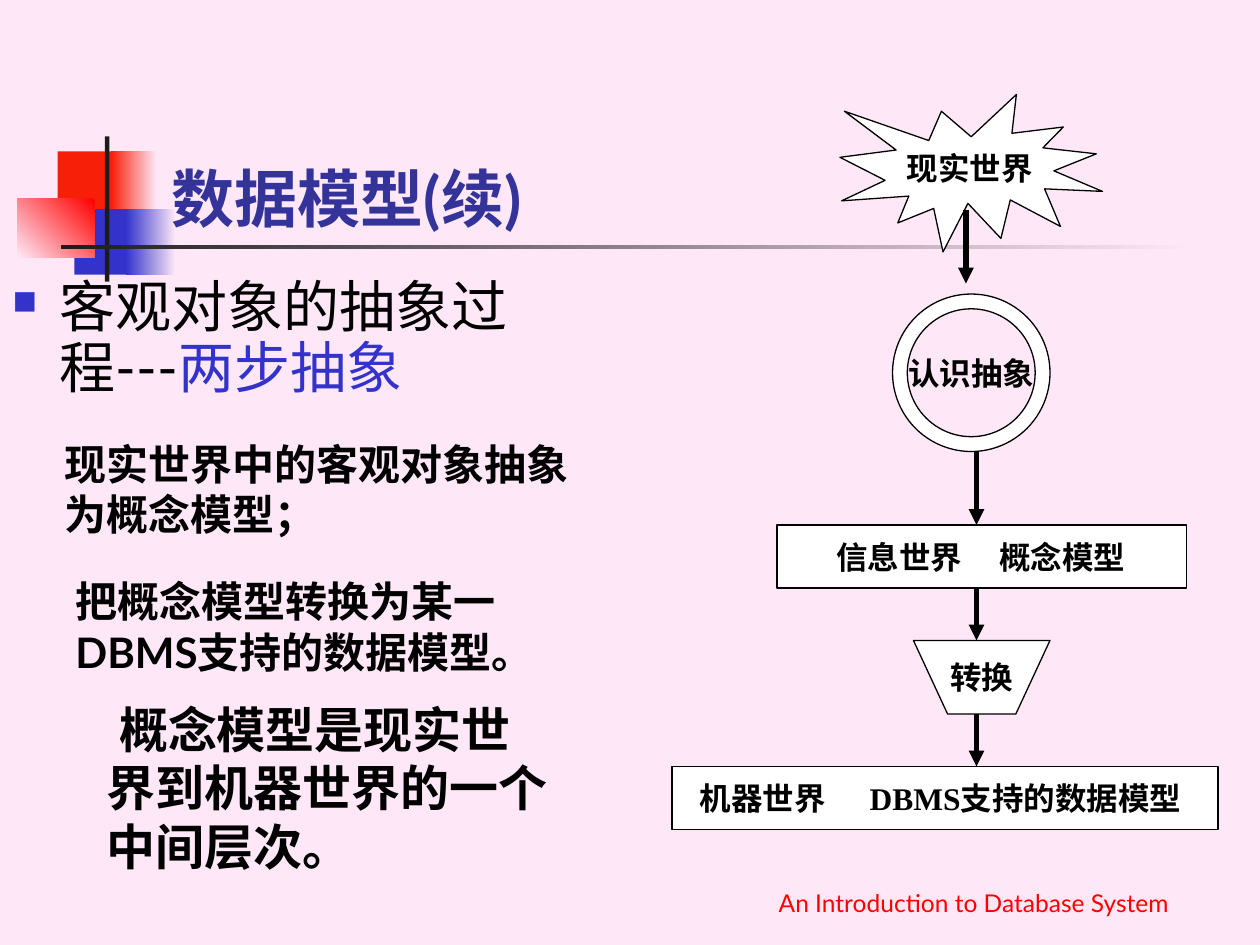
from dataclasses import dataclass

from lxml.etree import SubElement
from pptx import Presentation
from pptx.dml.color import RGBColor
from pptx.enum.shapes import MSO_CONNECTOR as CONNECTOR, MSO_SHAPE as SHAPE
from pptx.enum.text import MSO_ANCHOR as ANCHOR, MSO_AUTO_SIZE as AUTO_SIZE, PP_ALIGN as ALIGN
from pptx.oxml.ns import qn
from pptx.util import Pt


@dataclass(frozen=True)
class Theme:
    background: str = "FEE8F7"
    orange: str = "F81F08"
    red: str = "FF0000"
    blue: str = "3333CC"
    title: str = "333399"
    dark: str = "1C1C1C"
    black: str = "000000"
    white: str = "FFFFFF"
    text_font: str = "Lato"
    diagram_font: str = "Times New Roman"
    title_size: int = 36
    lead_size: int = 32
    conclusion_size: int = 28
    step_size: int = 24
    diagram_size: int = 18
    footer_size: int = 14


theme = Theme()
rgb = RGBColor.from_string


def format_runs(paragraph, size, color=theme.black, bold=False, font=theme.text_font):
    for run in paragraph.runs:
        run.font.name = font
        run.font.size = Pt(size)
        run.font.bold = bold
        run.font.color.rgb = rgb(color)


def add_text(left, top, width, height, text, size, space_before=0, **style):
    """Add a wrapping text box and return its only paragraph."""
    box = slide.shapes.add_textbox(Pt(left), Pt(top), Pt(width), Pt(height))
    box.text_frame.word_wrap = True
    box.text_frame.text = text
    paragraph = box.text_frame.paragraphs[0]
    paragraph.space_before = Pt(space_before)
    format_runs(paragraph, size, **style)
    return paragraph


presentation = Presentation()
presentation.slide_width, presentation.slide_height = Pt(720), Pt(540)
slide = presentation.slides.add_slide(presentation.slide_layouts[5])
slide.background.fill.solid()
slide.background.fill.fore_color.rgb = rgb(theme.background)

# Corner ornament and title rule: colour, optional second colour, gradient angle
ornaments = [
    (33, 86.5, 34.5, 37.5, theme.orange, None, 0),
    (63.5, 86.5, 26, 37.5, theme.orange, theme.background, 0),
    (42.5, 119.5, 33, 37.5, theme.blue, None, 0),
    (72, 119.5, 28.5, 37.5, theme.blue, theme.background, 0),
    (10, 113.5, 44, 33.5, theme.red, theme.background, 225),
    (60, 78, 2.5, 83, theme.dark, None, 0),
    (34.75, 140, 648, 2.5, theme.dark, theme.background, 0),
]
for left, top, width, height, color, fade_color, angle in ornaments:
    ornament = slide.shapes.add_shape(SHAPE.RECTANGLE, Pt(left), Pt(top), Pt(width), Pt(height))
    ornament.shadow.inherit = False
    ornament.line.fill.background()
    if fade_color:
        ornament.fill.gradient()
        ornament.fill.gradient_angle = angle
        for stop, stop_color in zip(ornament.fill.gradient_stops, (color, fade_color)):
            stop.color.rgb = rgb(stop_color)
    else:
        ornament.fill.solid()
        ornament.fill.fore_color.rgb = rgb(color)

# Title, moved in front of the ornament
title = slide.shapes.title
title.left, title.top, title.width, title.height = Pt(91), Pt(48), Pt(613.5), Pt(90)
title.text_frame.text = "数据模型(续)"
title.text_frame.auto_size = AUTO_SIZE.NONE
title.text_frame.vertical_anchor = ANCHOR.BOTTOM
title.text_frame.paragraphs[0].alignment = ALIGN.LEFT
format_runs(title.text_frame.paragraphs[0], theme.title_size, theme.title, bold=True)
slide.shapes._spTree.append(title._element)

# Left column
lead = add_text(0, 156, 324, 78, "客观对象的抽象过程---", theme.lead_size, 8)
lead.line_spacing = 0.9
highlight = lead.add_run()
highlight.text = "两步抽象"
format_runs(lead, theme.lead_size)
highlight.font.color.rgb = rgb(theme.blue)
properties = lead._p.get_or_add_pPr()
properties.set("marL", str(Pt(27)))
properties.set("indent", str(-Pt(27)))
bullet_color = SubElement(properties, qn("a:buClr"))
SubElement(bullet_color, qn("a:srgbClr"), val=theme.blue)
SubElement(properties, qn("a:buSzPct"), val="60000")
SubElement(properties, qn("a:buChar"), char="■")

add_text(30, 247, 312, 65, "现实世界中的客观对象抽象为概念模型；", theme.step_size, 15, bold=True)
add_text(36, 325.5, 312, 65, "把概念模型转换为某一DBMS支持的数据模型。", theme.step_size, 15, bold=True)
conclusion = add_text(54, 396, 270, 113, "概念模型是现实世界到机器世界的一个中间层次。",
                      theme.conclusion_size, 7, bold=True)
conclusion._p.get_or_add_pPr().set("indent", str(Pt(7)))

# Diagram: the trapezoid is an outline of its own, the rest are presets
burst = slide.shapes.add_shape(SHAPE.EXPLOSION1, Pt(480), Pt(54), Pt(150), Pt(90))
ring = slide.shapes.add_shape(SHAPE.DONUT, Pt(510), Pt(168), Pt(90), Pt(90))
ring.adjustments[0] = 0.094
information = slide.shapes.add_shape(SHAPE.RECTANGLE, Pt(444), Pt(300), Pt(234), Pt(36))
machine = slide.shapes.add_shape(SHAPE.RECTANGLE, Pt(384), Pt(438), Pt(312), Pt(36))
builder = slide.shapes.build_freeform(Pt(522), Pt(366))
builder.add_line_segments([(Pt(600), Pt(366)), (Pt(580.5), Pt(408)), (Pt(541.5), Pt(408))])
conversion = builder.convert_to_shape()

# Two-part labels start at a left inset and continue at a tab stop
nodes = [
    (burst, "现实世界", None, None),
    (ring, "认识抽象", None, None),
    (information, "信息世界\t概念模型", 34, 93),
    (machine, "机器世界\tDBMS支持的数据模型", 16, 97),
    (conversion, "转换", None, None),
]
for node, label, inset, tab_stop in nodes:
    node.shadow.inherit = False
    node.fill.solid()
    node.fill.fore_color.rgb = rgb(theme.white)
    node.line.color.rgb = rgb(theme.black)
    node.line.width = Pt(0.75)
    frame = node.text_frame
    frame.text = label
    frame.vertical_anchor = ANCHOR.MIDDLE
    frame.word_wrap = tab_stop is not None
    paragraph = frame.paragraphs[0]
    paragraph.space_before = Pt(11.2)
    paragraph.alignment = ALIGN.CENTER
    format_runs(paragraph, theme.diagram_size, bold=True, font=theme.diagram_font)
    if tab_stop:
        frame.margin_left, frame.margin_right = Pt(inset), Pt(0)
        paragraph.alignment = ALIGN.LEFT
        tabs = SubElement(paragraph._p.get_or_add_pPr(), qn("a:tabLst"))
        SubElement(tabs, qn("a:tab"), pos=str(Pt(tab_stop)), algn="l")

for x, start, end in [(552, 120, 162), (558, 258, 300), (558, 336, 366), (558, 408, 438)]:
    arrow = slide.shapes.add_connector(CONNECTOR.STRAIGHT, Pt(x), Pt(start), Pt(x), Pt(end))
    arrow.line.color.rgb = rgb(theme.black)
    arrow.line.width = Pt(3)
    SubElement(arrow.line._get_or_add_ln(), qn("a:tailEnd"), type="triangle")
    SubElement(arrow._element.spPr, qn("a:effectLst"))

footer = add_text(411, 492, 291, 36, "An Introduction to Database System",
                  theme.footer_size, color=theme.red)
footer.alignment = ALIGN.CENTER
footer._parent.vertical_anchor = ANCHOR.BOTTOM

presentation.save("out.pptx")
